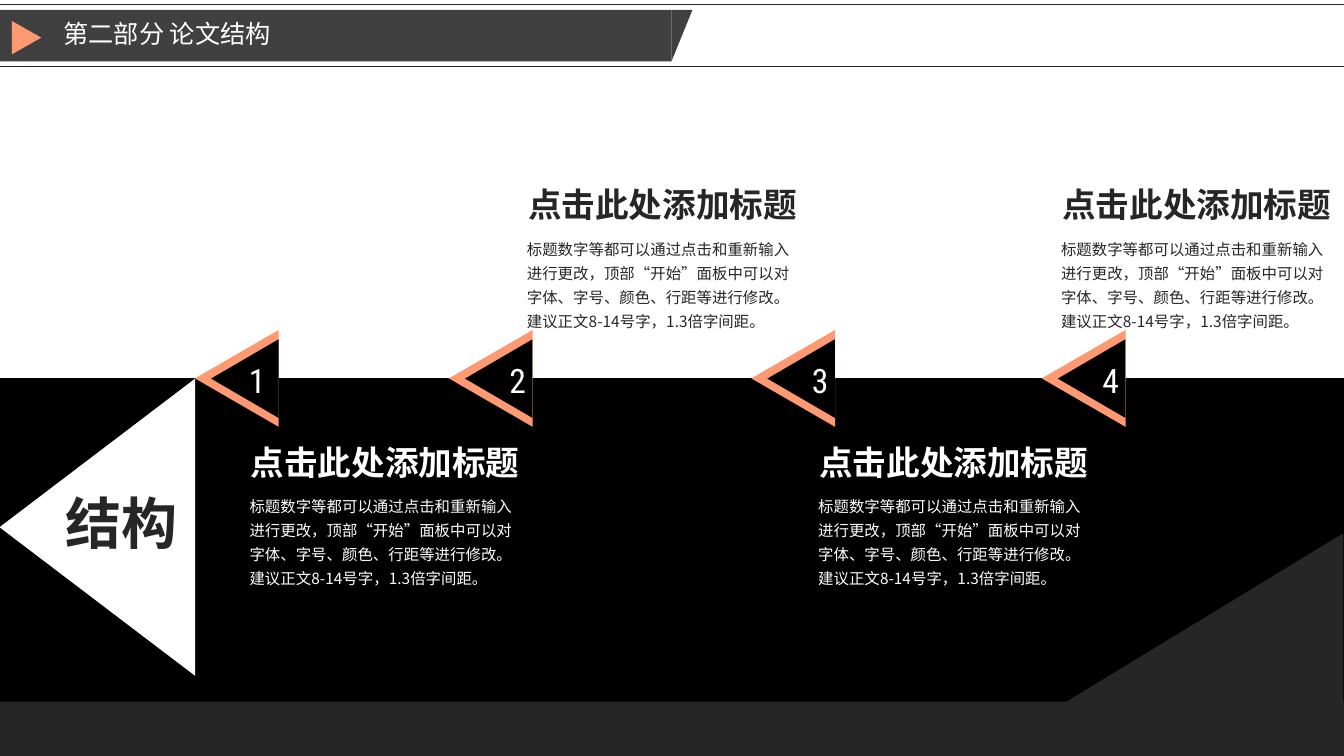
from dataclasses import dataclass

import pptx
import pptx.dml.color
import pptx.enum.shapes
import pptx.enum.text
import pptx.oxml.ns
import pptx.util
from lxml import etree
from pptx.dml.color import RGBColor
from pptx.enum.shapes import MSO_SHAPE
from pptx.enum.text import MSO_ANCHOR, MSO_AUTO_SIZE
from pptx.util import Cm

WHITE = RGBColor(0xFF, 0xFF, 0xFF)
BLACK = RGBColor(0, 0, 0)
DARK = RGBColor(0x26, 0x26, 0x26)
GREY = RGBColor(0x40, 0x40, 0x40)
CORAL = RGBColor(0xFF, 0x99, 0x72)
LATIN = "Roboto Condensed"
HAN = "Noto Sans CJK SC"
WIDE = 33.87
TITLE = "点击此处添加标题"
BODY = (
    "标题数字等都可以通过点击和重新输入进行更改，顶部“开始”面板中可以对"
    "字体、字号、颜色、行距等进行修改。建议正文8-14号字，1.3倍字间距。"
)


@dataclass(frozen=True)
class Box:
    left: float
    top: float
    width: float
    height: float

    def spans(self) -> list[int]:
        return [Cm(v) for v in (self.left, self.top, self.width, self.height)]


@dataclass(frozen=True)
class Form:
    kind: MSO_SHAPE
    box: Box
    fill: RGBColor
    turn: float = 0
    tip: float | None = None


@dataclass(frozen=True)
class Label:
    text: str
    box: Box
    size: float
    color: RGBColor
    bold: bool = False
    font: str = LATIN
    wrap: bool = False
    grow: bool = True
    space: float = 1.0


@dataclass(frozen=True)
class Marker:
    left: float
    shift: float
    width: float


@dataclass(frozen=True)
class Note:
    left: float
    top: float
    color: RGBColor


MARKERS = [
    Marker(4.75, 1.27, 0.84),
    Marker(11.15, 1.44, 0.95),
    Marker(18.77, 1.44, 0.95),
    Marker(26.09, 1.44, 0.95),
]
NOTES = [
    Note(6.07, 11, WHITE),
    Note(20.4, 11, WHITE),
    Note(13.06, 4.52, DARK),
    Note(26.52, 4.52, DARK),
]
BACKDROP = [
    Form(MSO_SHAPE.RECTANGLE, Box(0, 0.25, 16.92, 1.3), GREY),
    Form(MSO_SHAPE.ISOSCELES_TRIANGLE, Box(16.92, 0.25, 0.53, 1.3), GREY, 180, 1),
    Form(MSO_SHAPE.ISOSCELES_TRIANGLE, Box(0.25, 0.58, 0.84, 0.74), CORAL, 90),
    Form(MSO_SHAPE.RECTANGLE, Box(0, 9.53, WIDE, 9.52), BLACK),
    Form(MSO_SHAPE.RECTANGLE, Box(0, 17.68, WIDE, 1.37), DARK),
    Form(MSO_SHAPE.RIGHT_TRIANGLE, Box(26.44, 11.63, 5.61, 9.22), DARK, 270),
    Form(MSO_SHAPE.ISOSCELES_TRIANGLE, Box(-1.29, 10.82, 7.49, 4.93), WHITE, 270),
]


def draw_rule(slide: pptx.slide.Slide, top: float) -> None:
    rule = slide.shapes.add_connector(
        pptx.enum.shapes.MSO_CONNECTOR.STRAIGHT, 0, Cm(top), Cm(WIDE), Cm(top)
    )
    rule.line.color.rgb = DARK
    rule.line.width = pptx.util.Pt(0.5)
    etree.SubElement(rule._element.spPr, pptx.oxml.ns.qn("a:effectLst"))


def draw_form(slide: pptx.slide.Slide, form: Form) -> None:
    shape = slide.shapes.add_shape(form.kind, *form.box.spans())
    shape.shadow.inherit = False
    shape.fill.solid()
    shape.fill.fore_color.rgb = form.fill
    shape.line.fill.background()
    shape.rotation = form.turn
    if form.tip is not None:
        shape.adjustments[0] = form.tip


def draw_label(slide: pptx.slide.Slide, label: Label) -> None:
    frame = slide.shapes.add_textbox(*label.box.spans()).text_frame
    frame.word_wrap = label.wrap
    if label.grow:
        frame.auto_size = MSO_AUTO_SIZE.SHAPE_TO_FIT_TEXT
    else:
        frame.vertical_anchor = MSO_ANCHOR.MIDDLE
    para = frame.paragraphs[0]
    para.text = label.text
    para.line_spacing = label.space
    para.font.size = pptx.util.Pt(label.size)
    para.font.bold = label.bold
    para.font.color.rgb = label.color
    para.font.name = label.font
    props = para._p.pPr.find(pptx.oxml.ns.qn("a:defRPr"))
    etree.SubElement(props, pptx.oxml.ns.qn("a:ea"), typeface=HAN)


def draw_marker(slide: pptx.slide.Slide, mark: Marker, number: int) -> None:
    outer = Box(mark.left, 8.48, 2.44, 2.11)
    inner = Box(mark.left + 0.43, 8.69, 1.98, 1.7)
    for box, fill in ((outer, CORAL), (inner, BLACK)):
        draw_form(slide, Form(MSO_SHAPE.ISOSCELES_TRIANGLE, box, fill, 270))
    place = Box(mark.left + mark.shift, 8.94, mark.width, 1.27)
    draw_label(slide, Label(str(number), place, 24, WHITE))


def draw_note(slide: pptx.slide.Slide, note: Note) -> None:
    head = Box(note.left, note.top, 7.34, 1.27)
    body = Box(note.left - 0.03, note.top + 1.26, 7.39, 2.69)
    draw_label(slide, Label(TITLE, head, 24, note.color, bold=True))
    draw_label(
        slide, Label(BODY, body, 11, note.color, font=HAN, wrap=True, space=1.3)
    )


def main() -> None:
    deck = pptx.Presentation()
    deck.slide_width, deck.slide_height = Cm(WIDE), Cm(19.05)
    slide = deck.slides.add_slide(deck.slide_layouts[6])
    for top in (0.1, 1.68):
        draw_rule(slide, top)
    for form in BACKDROP:
        draw_form(slide, form)
    header = Box(1.35, 0.25, 15.01, 1.3)
    draw_label(
        slide,
        Label("第二部分 论文结构", header, 18, WHITE, wrap=True, grow=False, space=0.9),
    )
    draw_label(slide, Label("结构", Box(1.4, 12.19, 3.35, 1.96), 40, DARK, bold=True))
    for number, mark in enumerate(MARKERS, 1):
        draw_marker(slide, mark, number)
    for note in NOTES:
        draw_note(slide, note)
    deck.save("out.pptx")


if __name__ == "__main__":
    main()
